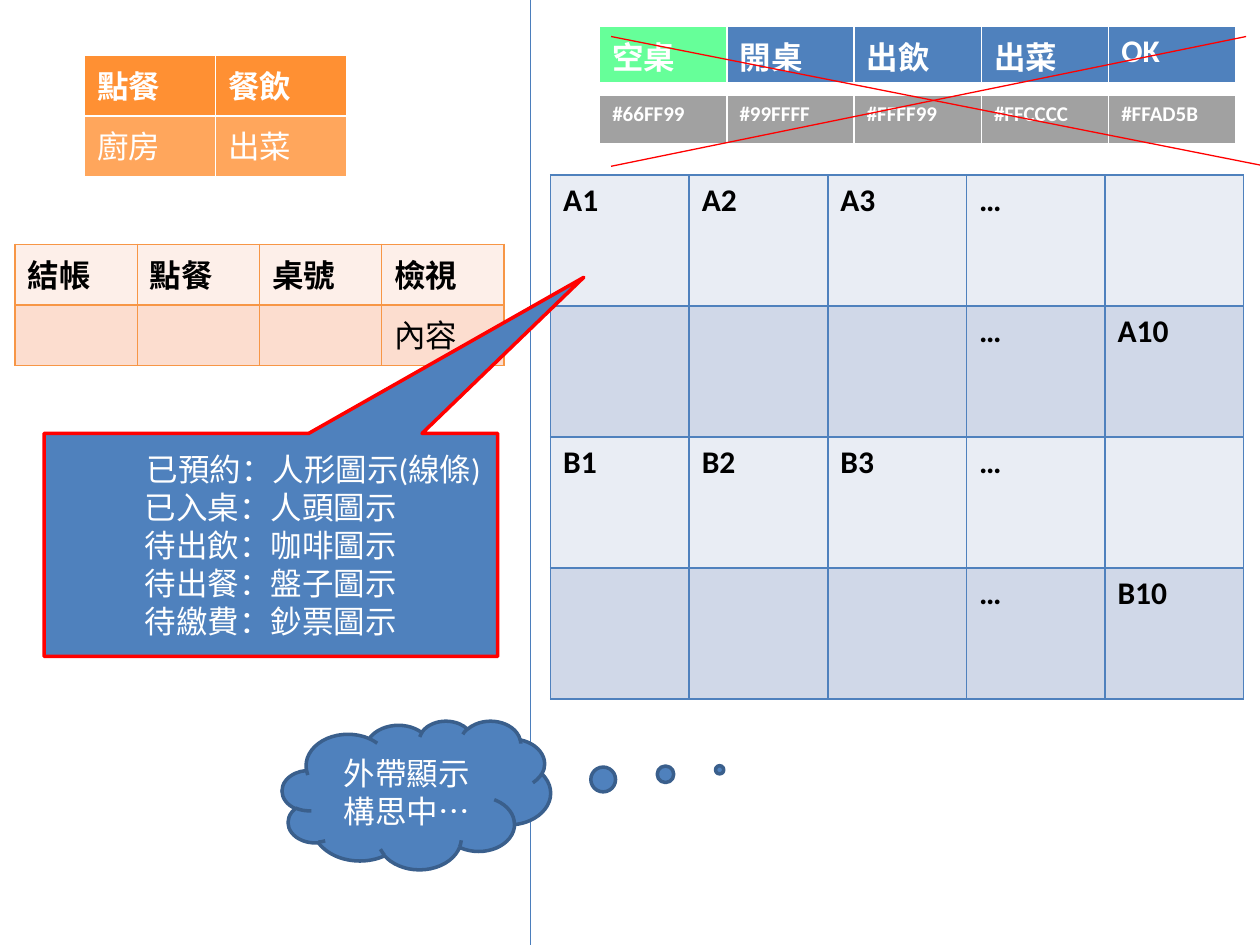
"""Build a slide sketching the table-status screen of a restaurant ordering system."""
import lxml.etree
import pptx
import pptx.dml.color
import pptx.enum.shapes
import pptx.enum.text
import pptx.oxml.ns
import pptx.util

Inches = pptx.util.Inches
Pt = pptx.util.Pt
qn = pptx.oxml.ns.qn
rgb = pptx.dml.color.RGBColor.from_string
SHAPE = pptx.enum.shapes.MSO_SHAPE

prs = pptx.Presentation()
prs.slide_width, prs.slide_height = Inches(10), Inches(7.5)
s = prs.slides.add_slide(prs.slide_layouts[6])


def add_line(x1, y1, x2, y2, color):
    line = s.shapes.add_connector(pptx.enum.shapes.MSO_CONNECTOR.STRAIGHT,
                                  Inches(x1), Inches(y1), Inches(x2), Inches(y2))
    line.line.color.rgb = rgb(color)
    line.line.width = Pt(0.75)
    lxml.etree.SubElement(line._element.spPr, qn("a:effectLst"))


def write_text(tf, lines, size, color, bold):
    tf.text = "\n".join(lines)
    for p in tf.paragraphs:
        for r in p.runs:
            r.font.name = "Calibri"
            r.font.size = Pt(size)
            r.font.bold = bold
            r.font.color.rgb = rgb(color)


add_line(4.21, 0, 4.21, 7.61, "4B7EBC")

steps = ["空桌", "開桌", "出飲", "出菜", "OK"]
codes = ["#66FF99", "#99FFFF", "#FFFF99", "#FFCCCC", "#FFAD5B"]
seats = [["A1", "A2", "A3", "…", ""], ["", "", "", "…", "A10"],
         ["B1", "B2", "B3", "…", ""], ["", "", "", "…", "B10"]]
tables = [
    dict(at=(0.67, 0.44), cell=(1.04, 0.48), rows=[["點餐", "餐飲"], ["廚房", "出菜"]],
         fills=["FF9033", "FFA65C"], color="FFFFFF", border="FFFFFF", bold_rows=1),
    dict(at=(0.12, 1.94), cell=(0.97, 0.48),
         rows=[["結帳", "點餐", "桌號", "檢視"], ["", "", "", "內容"]],
         fills=["FDEFE9", "FCDDCF"], color="000000", border="F79646", bold_rows=1),
    dict(at=(4.76, 0.21), cell=(1.01, 0.45), rows=[steps], fills=["4F81BD"],
         color="FFFFFF", border="FFFFFF", bold_rows=1, bottom=3),
    dict(at=(4.76, 0.76), cell=(1.01, 0.39), rows=[codes], fills=["A1A1A1"],
         color="FFFFFF", border="FFFFFF", bold_rows=1, bottom=3, size=12),
    dict(at=(4.37, 1.39), cell=(1.1, 1.04), rows=seats, fills=["E9EDF4", "D0D8E8"],
         color="000000", border="4F81BD", bold_rows=4),
]
for t in tables:
    rows, (left, top), (width, height) = t["rows"], t["at"], t["cell"]
    n_rows, n_cols = len(rows), len(rows[0])
    table = s.shapes.add_table(n_rows, n_cols, Inches(left), Inches(top),
                               Inches(width * n_cols), Inches(height * n_rows)).table
    table.first_row = table.horz_banding = False
    for i, row in enumerate(rows):
        for j, text in enumerate(row):
            cell = table.cell(i, j)
            if text:
                write_text(cell.text_frame, [text], t.get("size", 18), t["color"],
                           i < t["bold_rows"])
            tcPr = cell._tc.get_or_add_tcPr()
            for side in ("lnL", "lnR", "lnT", "lnB"):
                points = t.get("bottom", 1) if side == "lnB" else 1
                ln = lxml.etree.SubElement(tcPr, qn("a:" + side), w=str(Pt(points)))
                paint = lxml.etree.SubElement(ln, qn("a:solidFill"))
                lxml.etree.SubElement(paint, qn("a:srgbClr"), val=t["border"])
            cell.fill.solid()
            is_free = text == "空桌"
            cell.fill.fore_color.rgb = rgb("66FF99" if is_free else t["fills"][i % len(t["fills"])])

states = ["已預約：人形圖示(線條)", "已入桌：人頭圖示", "待出飲：咖啡圖示",
          "待出餐：盤子圖示", "待繳費：鈔票圖示"]
callouts = [
    (SHAPE.RECTANGULAR_CALLOUT, (0.35, 3.44, 3.6, 1.77), (0.69, -1.2), "FF0000", states),
    (SHAPE.CLOUD_CALLOUT, (2.24, 5.72, 2.13, 1.18), (1.13, -0.17), "3A5F8C",
     ["外帶顯示", "構思中…"]),
]
for kind, box, tip, outline, lines in callouts:
    if kind == SHAPE.CLOUD_CALLOUT:
        add_line(4.85, 0.29, 10.05, 1.32, "FF0000")
        add_line(4.85, 1.32, 9.89, 0.29, "FF0000")
    sp = s.shapes.add_shape(kind, *[Inches(v) for v in box])
    sp.adjustments[0], sp.adjustments[1] = tip
    sp.shadow.inherit = False
    sp.fill.solid()
    sp.fill.fore_color.rgb = rgb("4F81BD")
    sp.line.color.rgb = rgb(outline)
    sp.line.width = Pt(2)
    tf = sp.text_frame
    tf.word_wrap = True
    tf.vertical_anchor = pptx.enum.text.MSO_ANCHOR.MIDDLE
    write_text(tf, lines, 18, "FFFFFF", False)
    for p in tf.paragraphs:
        p.alignment = pptx.enum.text.PP_ALIGN.CENTER
    if lines is states:
        tf.paragraphs[0]._p.get_or_add_pPr().set("indent", str(Inches(0.68)))

prs.save("out.pptx")
